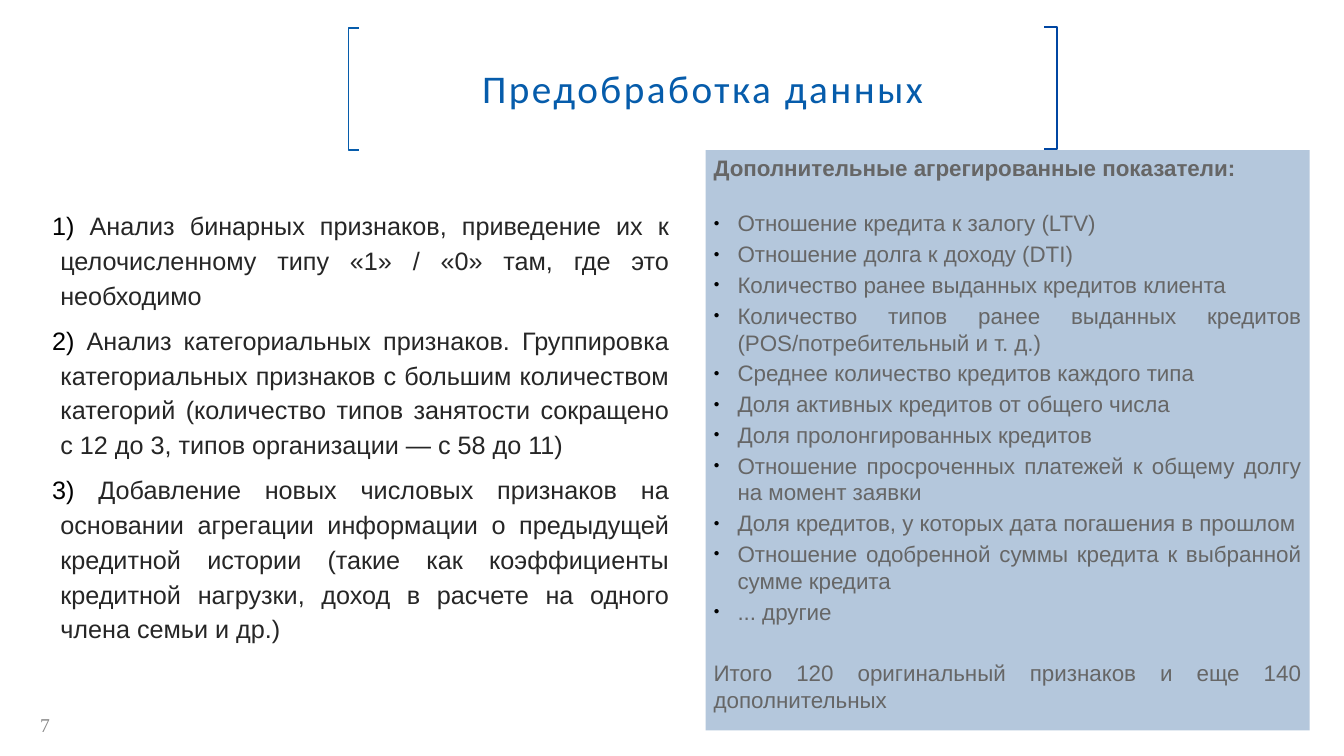
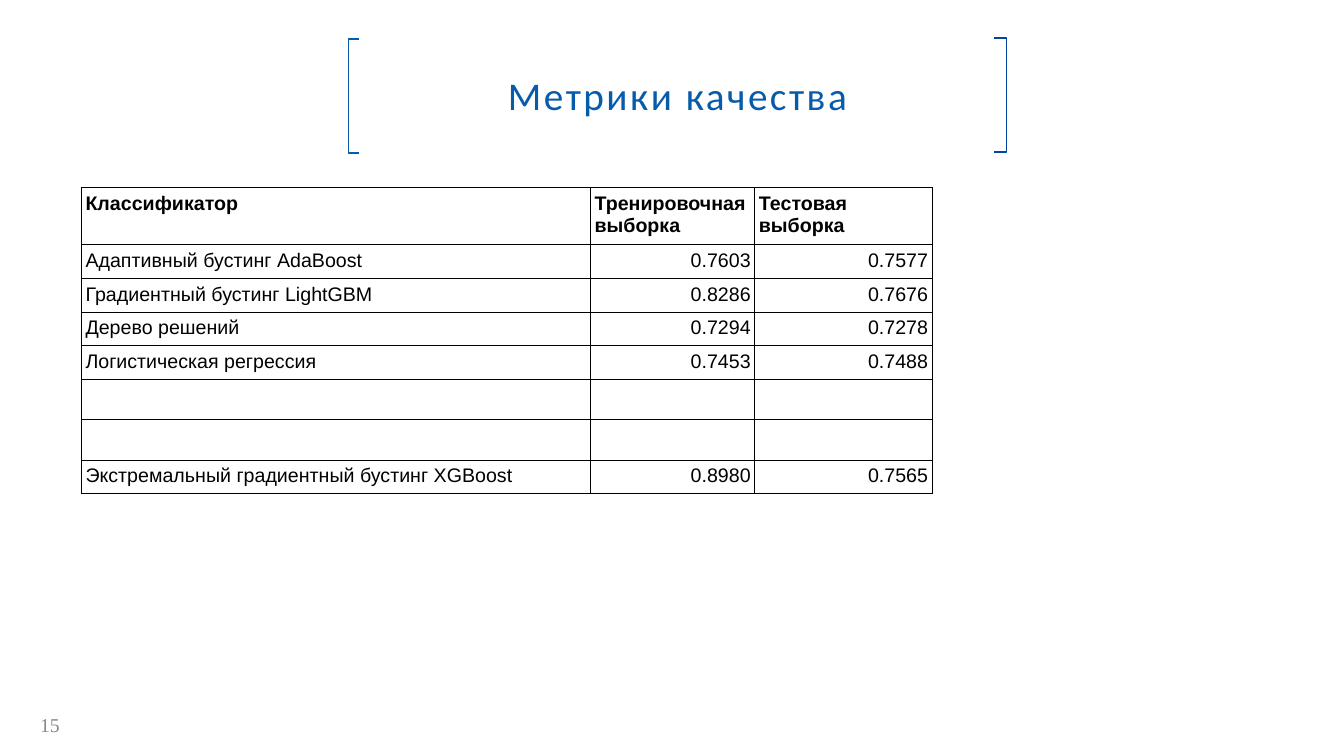
from lxml.etree import SubElement
from pptx import Presentation
from pptx.dml.color import RGBColor
from pptx.enum.shapes import MSO_SHAPE
from pptx.enum.text import MSO_ANCHOR, PP_ALIGN
from pptx.oxml.ns import qn
from pptx.util import Pt

BLUE = RGBColor(0x06, 0x5C, 0xAB)
DEEP_BLUE = RGBColor(0x00, 0x46, 0xA2)
PANEL = RGBColor(0xB4, 0xC7, 0xDC)
DARK = RGBColor(0x26, 0x26, 0x26)
GRAY = RGBColor(0x66, 0x66, 0x66)
PALE = RGBColor(0x89, 0x89, 0x89)
BLACK = RGBColor(0, 0, 0)
WHITE = RGBColor(255, 255, 255)

TITLE = dict(name="Calibri", size=Pt(28), color=BLUE)
BODY = dict(name="Arial", size=Pt(18), color=DARK)
NOTE = dict(name="Arial", size=Pt(16), color=GRAY)
CELL = dict(name="Arial", size=Pt(14), color=BLACK)
NUMBER = dict(name="Times New Roman", size=Pt(14), color=PALE)

STEPS = [
    "Анализ бинарных признаков, приведение их к целочисленному типу «1» / «0» там, где это необходимо",
    "Анализ категориальных признаков. Группировка категориальных признаков с большим количеством "
    "категорий (количество типов занятости сокращено с 12 до 3, типов организации — с 58 до 11)",
    "Добавление новых числовых признаков на основании агрегации информации о предыдущей кредитной "
    "истории (такие как коэффициенты кредитной нагрузки, доход в расчете на одного члена семьи и др.)",
]
FEATURES = [
    "Отношение кредита к залогу (LTV)",
    "Отношение долга к доходу (DTI)",
    "Количество ранее выданных кредитов клиента",
    "Количество типов ранее выданных кредитов (POS/потребительный и т. д.)",
    "Среднее количество кредитов каждого типа",
    "Доля активных кредитов от общего числа",
    "Доля пролонгированных кредитов",
    "Отношение просроченных платежей к общему долгу на момент заявки",
    "Доля кредитов, у которых дата погашения в прошлом",
    "Отношение одобренной суммы кредита к выбранной сумме кредита",
    "... другие",
]
METRICS = [
    ("Классификатор", "Тренировочная выборка", "Тестовая выборка"),
    ("Адаптивный бустинг AdaBoost", "0.7603", "0.7577"),
    ("Градиентный бустинг LightGBM", "0.8286", "0.7676"),
    ("Дерево решений", "0.7294", "0.7278"),
    ("Логистическая регрессия", "0.7453", "0.7488"),
    ("", "", ""),
    ("", "", ""),
    ("Экстремальный градиентный бустинг XGBoost", "0.8980", "0.7565"),
]


def set_attrs(obj, **values):
    for key, value in values.items():
        setattr(obj, key, value)


def set_frame(tf, side, top, bottom, anchor=MSO_ANCHOR.TOP):
    set_attrs(tf, word_wrap=True, margin_left=Pt(side), margin_right=Pt(side),
              margin_top=Pt(top), margin_bottom=Pt(bottom), vertical_anchor=anchor)


def write(p, text, style, bold=False, **fmt):
    r = p.add_run()
    r.text = text
    set_attrs(r.font, name=style["name"], size=style["size"], bold=bold)
    r.font.color.rgb = style["color"]
    set_attrs(p, **fmt)
    return r


def next_paragraph(tf):
    p = tf.paragraphs[0]
    return tf.add_paragraph() if p.runs else p


def set_bullet(p, left, indent, tag, size=None, **attrs):
    pPr = p._p.get_or_add_pPr()
    pPr.set("marL", str(Pt(left)))
    pPr.set("indent", str(Pt(indent)))
    color = SubElement(pPr, qn("a:buClr"))
    SubElement(color, qn("a:srgbClr"), val=str(BLACK))
    if size:
        SubElement(pPr, qn("a:buSzPct"), val=str(size * 1000))
    SubElement(pPr, qn("a:buFont"), typeface="Arial")
    SubElement(pPr, qn(tag), **attrs)


def add_box(s, box, fill, line=None):
    sp = s.shapes.add_shape(MSO_SHAPE.RECTANGLE, *map(Pt, box))
    sp.shadow.inherit = False
    sp.fill.solid()
    sp.fill.fore_color.rgb = fill
    if line is None:
        sp.line.fill.background()
    else:
        sp.line.color.rgb = line
        sp.line.width = Pt(2)
    return sp


def add_bracket(s, tip, edge, top, height, color):
    points = [(tip, top), (edge, top), (edge, top + height), (tip, top + height)]
    points = [(Pt(x), Pt(y)) for x, y in points]
    builder = s.shapes.build_freeform(*points[0], scale=1.0)
    builder.add_line_segments(points[1:], close=False)
    sp = builder.convert_to_shape()
    sp.shadow.inherit = False
    sp.fill.background()
    sp.line.color.rgb = color
    sp.line.width = Pt(1.3)


def add_title(s, box, text):
    x, y, w, h = box
    sp = add_box(s, box, WHITE, WHITE)
    set_frame(sp.text_frame, 7.2, 3.6, 3.6, MSO_ANCHOR.MIDDLE)
    r = write(sp.text_frame.paragraphs[0], text, TITLE, alignment=PP_ALIGN.CENTER)
    r.font._element.set("spc", "180")
    add_bracket(s, x + 7.6, x, y + 0.6, h, BLUE)
    add_bracket(s, x + w - 9, x + w, y, h, DEEP_BLUE)


def add_number(s, box, number):
    tf = s.shapes.add_textbox(*map(Pt, box)).text_frame
    set_frame(tf, 7.2, 3.6, 3.6, MSO_ANCHOR.MIDDLE)
    write(tf.paragraphs[0], str(number), NUMBER)


def add_steps(s, box, steps):
    tf = s.shapes.add_textbox(*map(Pt, box)).text_frame
    set_frame(tf, 7.2, 39, 3.6)
    for step in steps:
        p = next_paragraph(tf)
        write(p, " " + step, BODY, alignment=PP_ALIGN.JUSTIFY,
              line_spacing=1.15, space_before=Pt(7.5))
        set_bullet(p, 5.8, -25.2, "a:buAutoNum", type="arabicParenR")


def add_panel(s, box, heading, features, total):
    tf = add_box(s, box, PANEL).text_frame
    set_frame(tf, 5.8, 2.9, 2.9)
    write(tf.paragraphs[0], heading, NOTE, bold=True,
          alignment=PP_ALIGN.LEFT, space_after=Pt(19))
    for feature in features:
        p = next_paragraph(tf)
        write(p, feature, NOTE, alignment=PP_ALIGN.JUSTIFY,
              space_before=Pt(1.4), space_after=Pt(1.4))
        set_bullet(p, 17, -17, "a:buChar", size=45, char="●")
    write(next_paragraph(tf), total, NOTE, alignment=PP_ALIGN.JUSTIFY, space_before=Pt(23.4))


def set_borders(cell):
    tcPr = cell._tc.get_or_add_tcPr()
    for i, side in enumerate(("a:lnL", "a:lnR", "a:lnT", "a:lnB")):
        ln = SubElement(tcPr, qn(side), w=str(Pt(0.57)))
        fill = SubElement(ln, qn("a:solidFill"))
        SubElement(fill, qn("a:srgbClr"), val=str(BLACK))
        tcPr.insert(i, ln)


def add_metrics(s, box, rows, widths):
    table = s.shapes.add_table(len(rows), len(widths), *map(Pt, box)).table
    set_attrs(table, first_row=False, horz_banding=False)
    for column, width in zip(table.columns, widths):
        column.width = Pt(width)
    for i, row in enumerate(rows):
        table.rows[i].height = Pt(38.8 if i == 0 else 23.1 if row[0] else 27.3)
        for j, text in enumerate(row):
            cell = table.cell(i, j)
            cell.fill.solid()
            cell.fill.fore_color.rgb = WHITE
            set_borders(cell)
            if text:
                set_attrs(cell, margin_left=Pt(2.9), margin_right=Pt(2.9),
                          margin_top=Pt(3.6), margin_bottom=Pt(3.6))
                align = PP_ALIGN.RIGHT if i and j else PP_ALIGN.LEFT
                write(cell.text_frame.paragraphs[0], text, CELL, bold=i == 0, alignment=align)


def add_slide(prs, title_box, title, number):
    s = prs.slides.add_slide(prs.slide_layouts[6])
    add_title(s, title_box, title)
    add_number(s, (21.6, 507, 44.6, 21), number)
    return s


def main():
    prs = Presentation()
    set_attrs(prs, slide_width=Pt(960), slide_height=Pt(540))

    s = add_slide(prs, (249, 19.4, 506, 87.3), "Предобработка данных", 7)
    add_steps(s, (30.2, 108, 455, 413.3), STEPS)
    add_panel(s, (504, 107.2, 431.5, 414.5), "Дополнительные агрегированные показатели:",
              FEATURES, "Итого 120 оригинальный признаков и еще 140 дополнительных")

    s = add_slide(prs, (249, 27.3, 470, 81.4), "Метрики качества", 15)
    add_metrics(s, (58.2, 134, 607.7, 208.9), METRICS, (363.6, 117.4, 126.7))

    prs.save("out.pptx")


if __name__ == "__main__":
    main()
